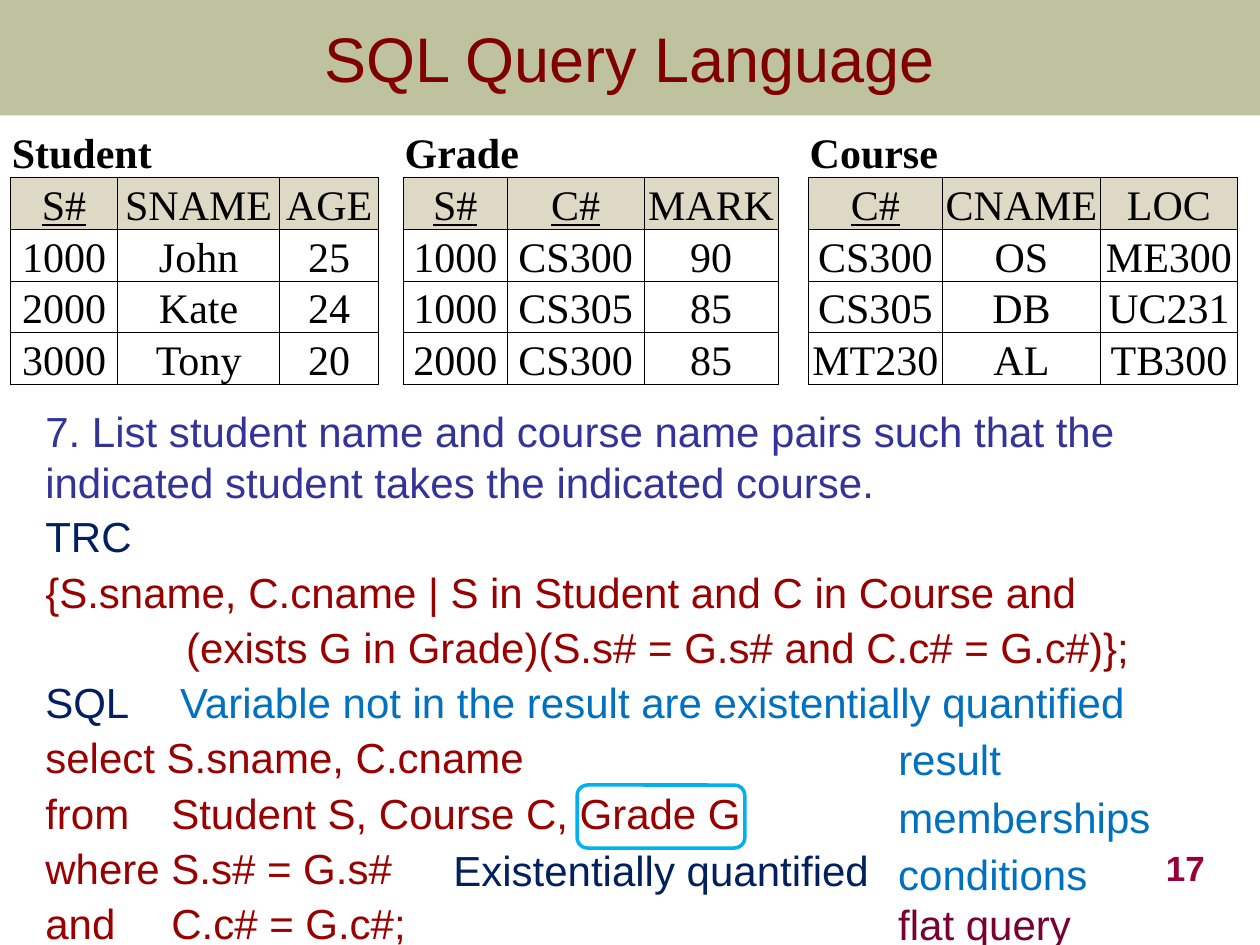
"""Build the SQL Query Language slide with three relations and a sample query."""
from lxml import etree
from pptx import Presentation
from pptx.dml.color import RGBColor
from pptx.enum.shapes import MSO_SHAPE
from pptx.enum.text import MSO_ANCHOR, MSO_AUTO_SIZE, PP_ALIGN
from pptx.oxml.ns import qn
from pptx.util import Pt

ROUNDED = MSO_SHAPE.ROUNDED_RECTANGLE
TOP, MIDDLE, BOTTOM = MSO_ANCHOR.TOP, MSO_ANCHOR.MIDDLE, MSO_ANCHOR.BOTTOM
LEFT, CENTER, RIGHT = PP_ALIGN.LEFT, PP_ALIGN.CENTER, PP_ALIGN.RIGHT
NO_AUTOFIT = MSO_AUTO_SIZE.NONE
PLAIN_TABLE_STYLE = "{2D5ABB26-0587-4C30-8999-92F81FD0307C}"
COLORS = {
    "band": "6E7524", "title": "800000", "question": "333399", "label": "002060",
    "code": "990000", "note": "0070C0", "flat": "790033", "number": "990033",
    "outline": "00B0F0", "header": "DDD9C4", "white": "FFFFFF", "black": "000000",
}


def write(paragraph, text, color, alignment=LEFT, **formats):
    paragraph.alignment = alignment
    run = paragraph.add_run()
    run.text = text
    for name, value in ({"name": "Arial", "size": Pt(24)} | formats).items():
        setattr(run.font, name, value)
    run.font.color.rgb = RGBColor.from_string(COLORS[color])


def place(shape, left, top, width, height):
    bounds = {"left": left, "top": top, "width": width, "height": height}
    for name, value in bounds.items():
        setattr(shape, name, Pt(value))


presentation = Presentation()
presentation.slide_width, presentation.slide_height = Pt(720), Pt(540)
slide = presentation.slides.add_slide(presentation.slide_layouts[1])

title = slide.shapes.title
place(title, 0, 0, 720, 66)
title.fill.solid()
title.fill.fore_color.rgb = RGBColor.from_string(COLORS["band"])
band_color = title.fill._xPr.find(qn("a:solidFill"))[0]
etree.SubElement(band_color, qn("a:alpha"), val="44000")
title.text_frame.vertical_anchor = MIDDLE
title.text_frame.auto_size = NO_AUTOFIT
write(title.text_frame.paragraphs[0], "SQL Query Language", "title", CENTER, size=Pt(36))

body = slide.placeholders[1]
place(body, 18.7, 228.2, 683.3, 307.4)
frame = body.text_frame
frame.margin_right = 0
frame.vertical_anchor = TOP
frame.auto_size = NO_AUTOFIT
lines = [
    ("7. List student name and course name pairs such that the "
     "indicated student takes the indicated course.", "question", 0, None),
    ("TRC", "label", 0, None),
    ("{S.sname, C.cname | S in Student and C in Course and", "code", 0, None),
    ("(exists G in Grade)(S.s# = G.s# and C.c# = G.c#)};", "code", 80.5, None),
    ("SQL", "label", 0, None),
    ("select S.sname, C.cname", "code", 0, None),
    ("from\tStudent S, Course C, Grade G", "code", 0, 99),
    ("where S.s# = G.s#", "code", 0, None),
    ("and\tC.c# = G.c#;", "code", 0, 73.5),
]
for index, (text, color, indent, tab) in enumerate(lines):
    paragraph = frame.add_paragraph() if index else frame.paragraphs[0]
    paragraph.line_spacing = 0.9 if index else 1.0
    paragraph.space_before = Pt(5.7 if index else 0)
    properties = paragraph._p.get_or_add_pPr()
    properties.set("marL", str(Pt(indent)))
    properties.set("indent", "0")
    etree.SubElement(properties, qn("a:buNone"))
    if tab:
        tabs = etree.SubElement(properties, qn("a:tabLst"))
        etree.SubElement(tabs, qn("a:tab"), pos=str(Pt(tab)), algn="l")
    write(paragraph, text, color)

notes = [
    ("17", "number", (545.8, 475.2, 149.8, 36), BOTTOM, RIGHT, {"size": Pt(20), "bold": True}),
    ("result", "note", (506.2, 426.2, 102.2, 25.2), BOTTOM, LEFT, {}),
    ("memberships", "note", (506.2, 450, 159.8, 34.6), BOTTOM, LEFT, {}),
    ("conditions", "note", (506.2, 486, 165.6, 31), BOTTOM, LEFT, {}),
    ("Variable not in the result are existentially quantified", "note",
     (95.8, 388.1, 606.2, 31), BOTTOM, LEFT, {}),
    ("flat query", "flat", (506.2, 514.8, 165.6, 31), BOTTOM, LEFT, {}),
    ("Existentially quantified", "label", (252, 482.4, 257.8, 33.1), TOP, LEFT, {}),
]
for text, color, bounds, anchor, alignment, formats in notes:
    box = slide.shapes.add_textbox(*map(Pt, bounds))
    box.text_frame.word_wrap = True
    box.text_frame.vertical_anchor = anchor
    write(box.text_frame.paragraphs[0], text, color, alignment, **formats)
box.text_frame.paragraphs[0].line_spacing = 0.9

relations = [
    ("Student", {0}, ["S# SNAME AGE", "1000 John 25", "2000 Kate 24", "3000 Tony 20"]),
    ("Grade", {0, 1}, ["S# C# MARK", "1000 CS300 90", "1000 CS305 85", "2000 CS300 85"]),
    ("Course", {0}, ["C# CNAME LOC", "CS300 OS ME300", "CS305 DB UC231", "MT230 AL TB300"]),
]
widths = [61.2, 92.6, 56.6, 14.2, 59.3, 78.3, 76.5, 17.4, 76.5, 90.5, 78.1]
row_height = 27.4
table_frame = slide.shapes.add_table(
    5, len(widths), Pt(6), Pt(72), Pt(sum(widths)), Pt(5 * row_height))
table = table_frame.table
table._tbl.tblPr.find(qn("a:tableStyleId")).text = PLAIN_TABLE_STYLE
table.first_row = table.horz_banding = False
for column, width in zip(table.columns, widths):
    column.width = Pt(width)
for row in table.rows:
    row.height = Pt(row_height)

for row in range(5):
    for column in range(len(widths)):
        cell = table.cell(row, column)
        group, position = divmod(column, 4)
        name, keys, records = relations[group]
        is_gap = position == 3
        cell.vertical_anchor = BOTTOM
        cell.margin_left = cell.margin_right = cell.margin_top = Pt(0.72)
        cell.margin_bottom = 0
        fill = "header" if row == 1 and not is_gap else "white"
        cell.fill.solid()
        cell.fill.fore_color.rgb = RGBColor.from_string(COLORS[fill])
        paragraph = cell.text_frame.paragraphs[0]
        if row == 0:
            sides = "" if is_gap else "B"
            if position == 0:
                cell.merge(table.cell(0, column + 2))
                write(paragraph, name, "black", name="Times New Roman", bold=True)
        elif is_gap:
            sides = "LR"
        else:
            sides = "LRTB"
            write(paragraph, records[row - 1].split()[position], "black", CENTER,
                  name="Times New Roman", underline=row == 1 and position in keys)
        for order, side in enumerate(sides):
            border = etree.Element(qn(f"a:ln{side}"), w=str(Pt(0.5)))
            solid = etree.SubElement(border, qn("a:solidFill"))
            etree.SubElement(solid, qn("a:srgbClr"), val=COLORS["black"])
            cell._tc.get_or_add_tcPr().insert(order, border)

highlight = slide.shapes.add_shape(ROUNDED, Pt(329.8), Pt(448.6), Pt(95.8), Pt(36))
highlight.shadow.inherit = False
highlight.fill.background()
highlight.line.color.rgb = RGBColor.from_string(COLORS["outline"])
highlight.line.width = Pt(2)

presentation.save("out.pptx")
